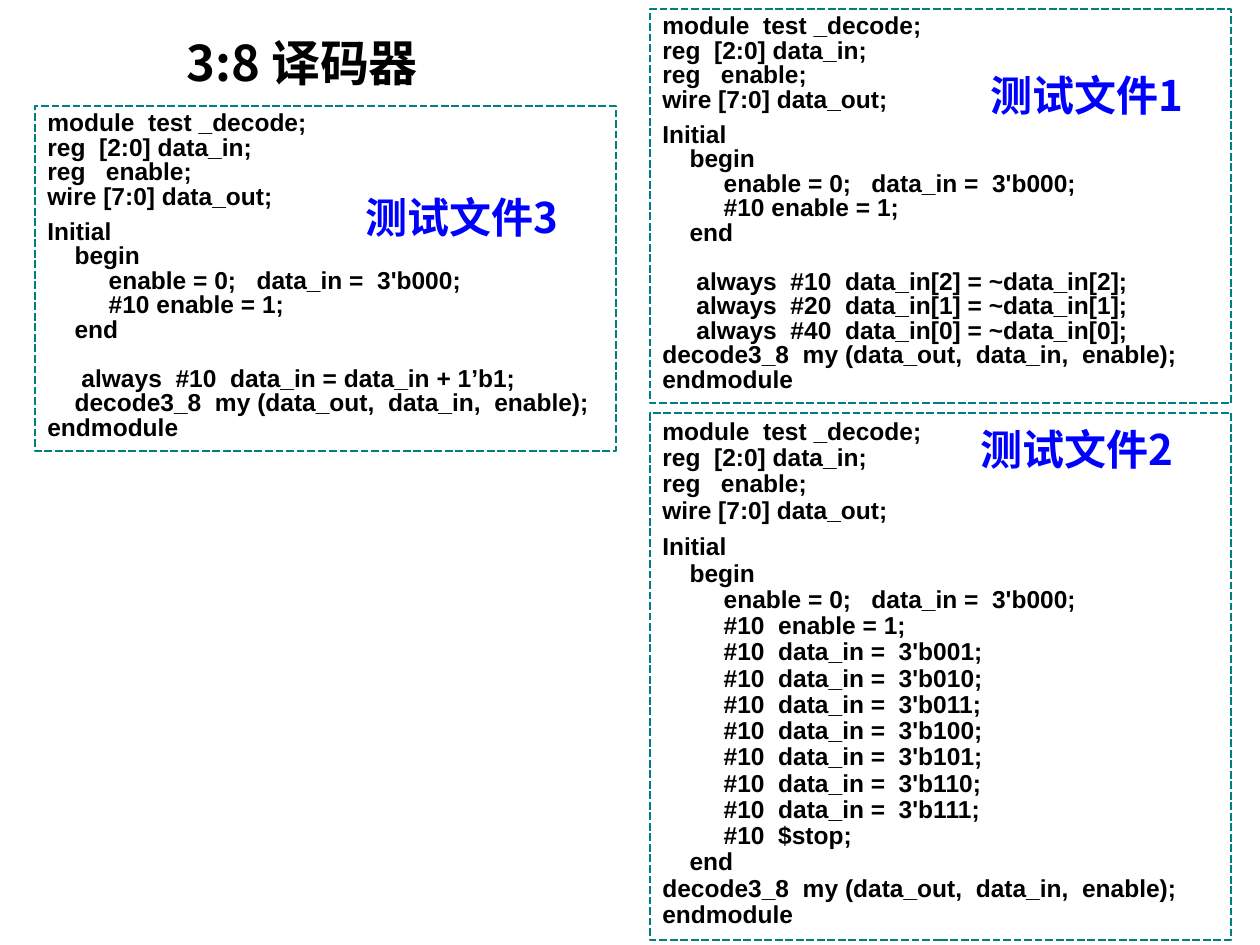
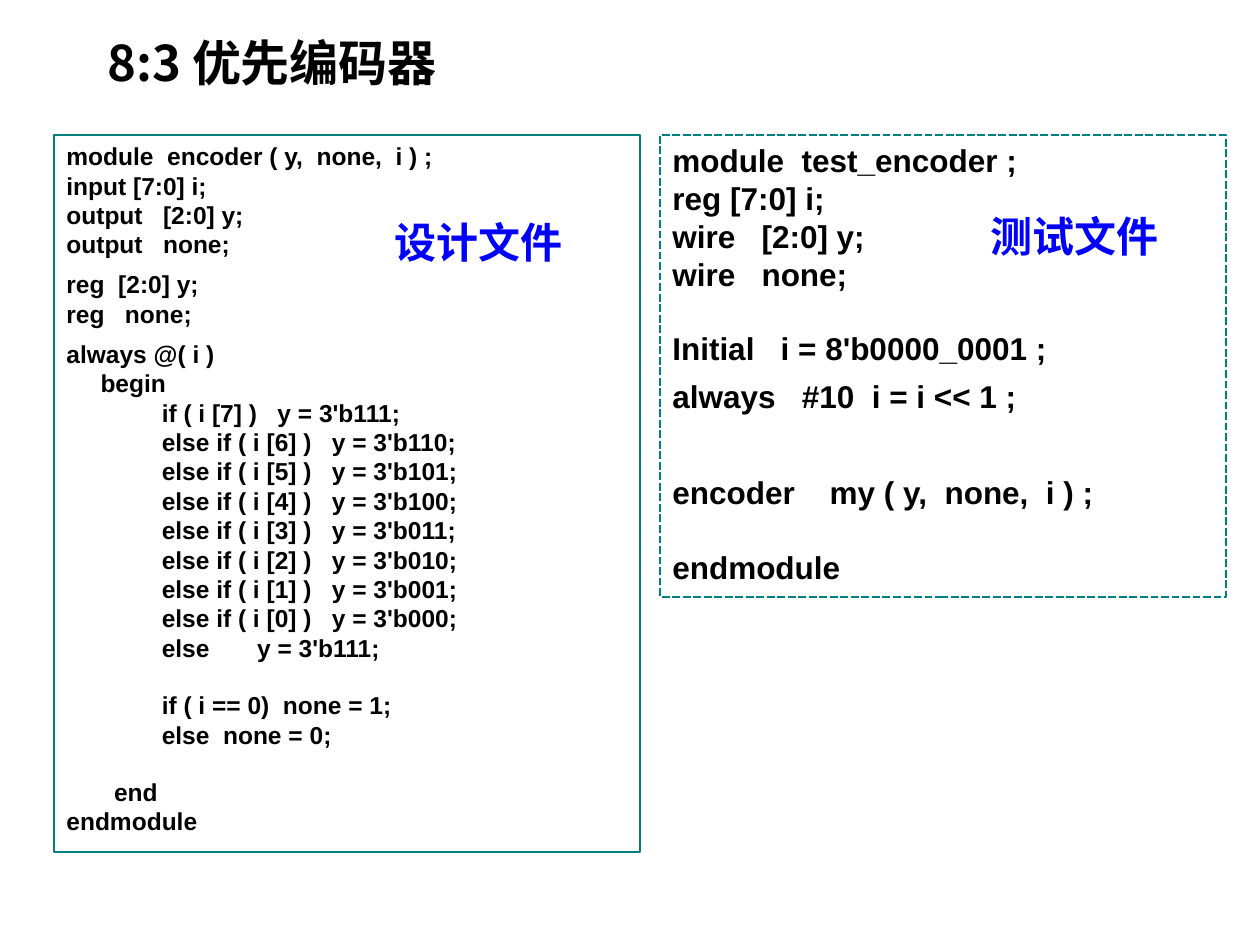
from dataclasses import dataclass

from lxml.etree import SubElement
from pptx import Presentation
from pptx.dml.color import RGBColor as Rgb
from pptx.enum.dml import MSO_LINE as Dash
from pptx.enum.shapes import MSO_SHAPE as Shape
from pptx.enum.text import MSO_ANCHOR as Anchor, PP_ALIGN as Align
from pptx.oxml.ns import qn
from pptx.util import Emu, Pt

EMU_PER_PX = 914400 / 126


def px(length):
    return Emu(round(length * EMU_PER_PX))


@dataclass(frozen=True)
class Theme:
    black: Rgb = Rgb(0, 0, 0)
    blue: Rgb = Rgb(0, 0, 255)
    teal: Rgb = Rgb(0, 127, 128)
    code_font: str = "Arial"
    heading_font: str = "Noto Sans CJK SC"
    title_size: int = 28
    label_size: int = 24
    code_size: int = 14
    large_code_size: int = 18
    border: float = 1.5
    section_gap: int = 6
    space_width: float = 0.278
    title_top: int = 26
    title_height: int = 72
    label_width: int = 228
    label_height: int = 63


class SlideWriter:
    def __init__(self, deck, theme):
        self.deck = deck
        self.theme = theme
        self.page = None

    def new_page(self):
        self.page = self.deck.slides.add_slide(self.deck.slide_layouts[6])

    def style(self, para, font, size, color):
        para.alignment = Align.LEFT
        for span in para.runs:
            span.font.size = Pt(size)
            span.font.bold = True
            span.font.color.rgb = color
            span.font.name = font
            SubElement(span._r.get_or_add_rPr(), qn("a:ea")).set("typeface", font)

    def heading(self, text, left, top, width, height, size, color):
        box = self.page.shapes.add_textbox(px(left), px(top), px(width), px(height))
        box.text_frame.word_wrap = True
        box.text_frame.text = text
        self.style(box.text_frame.paragraphs[0], self.theme.heading_font, size, color)

    def title(self, text, left, width):
        theme = self.theme
        self.heading(text, left, theme.title_top, width, theme.title_height,
                     theme.title_size, theme.black)

    def label(self, text, left, top):
        theme = self.theme
        self.heading(text, left, top, theme.label_width, theme.label_height,
                     theme.label_size, theme.blue)

    def code_panel(self, sections, left, top, width, height,
                   size=None, leading=None, dashed=True):
        theme = self.theme
        size = size or theme.code_size
        panel = self.page.shapes.add_shape(
            Shape.RECTANGLE, px(left), px(top), px(width), px(height))
        panel.shadow.inherit = False
        panel.fill.background()
        panel.line.color.rgb = theme.teal
        panel.line.width = Pt(theme.border)
        if dashed:
            panel.line.dash_style = Dash.SQUARE_DOT
        frame = panel.text_frame
        frame.word_wrap = True
        frame.vertical_anchor = Anchor.TOP
        lines = [(line, 0 if number else gap)
                 for gap, code in sections
                 for number, line in enumerate(code)]
        frame.text = "\n".join(line.lstrip() for line, _ in lines)
        for para, (line, gap) in zip(frame.paragraphs, lines):
            self.style(para, theme.code_font, size, theme.black)
            para.space_before = Pt(gap)
            if leading:
                para.line_spacing = Pt(leading)
            spaces = len(line) - len(line.lstrip())
            indent = Pt(spaces * size * theme.space_width)
            para._p.get_or_add_pPr().set("marL", str(indent))


DECLARATIONS = [
    "module  test _decode;",
    "reg  [2:0] data_in;",
    "reg   enable;",
    "wire [7:0] data_out;",
]
START = [
    "Initial",
    "    begin",
    "         enable = 0;   data_in =  3'b000;",
]
ENABLE = ["         #10 enable = 1;", "    end"]
INSTANCE = "decode3_8  my (data_out,  data_in,  enable);"
END = "endmodule"


def decoder_page(writer):
    gap = writer.theme.section_gap
    opening = [(0, DECLARATIONS), (gap, START + ENABLE)]
    counter = ["     always  #10  data_in = data_in + 1’b1;",
               "    " + INSTANCE, END]
    toggles = [f"     always  #{delay}  data_in[{bit}] = ~data_in[{bit}];"
               for delay, bit in ((10, 2), (20, 1), (40, 0))]
    steps = [f"         #10  data_in =  3'b{value:03b};" for value in range(1, 8)]
    sequence = START + ["         #10  enable = 1;", *steps,
                        "         #10  $stop;", "    end", INSTANCE, END]

    writer.new_page()
    writer.code_panel(opening + [(14, counter)], 35, 106, 581, 345, leading=14)
    writer.label("测试文件3", 353, 185)
    writer.title("3:8 译码器", 174, 295)
    writer.code_panel(opening + [(14, toggles + [INSTANCE, END])],
                      650, 9, 581, 394, leading=14)
    writer.label("测试文件1", 978, 63)
    writer.code_panel([(0, DECLARATIONS), (gap, sequence)],
                      650, 413, 581, 527, leading=15)
    writer.label("测试文件2", 968, 417)


def encoder_page(writer):
    gap = writer.theme.section_gap
    ports = ["module  encoder ( y,  none,  i ) ;", "input [7:0] i;",
             "output   [2:0] y;", "output   none;"]
    registers = ["reg  [2:0] y;", "reg   none;"]
    indent = " " * 14
    priority = [
        "always @( i )",
        "     begin",
        f"{indent}if ( i [7] )   y = 3'b111;",
        *(f"{indent}else if ( i [{bit}] )   y = 3'b{bit:03b};"
          for bit in range(6, -1, -1)),
        f"{indent}else       y = 3'b111;",
    ]
    empty_check = [f"{indent}if ( i == 0)  none = 1;", f"{indent}else  none = 0;"]
    design = [(0, ports), (gap, registers), (gap, priority),
              (16, empty_check), (16, ["       end", END])]
    test = [
        (0, ["module  test_encoder ;", "reg [7:0] i;",
             "wire   [2:0] y;", "wire   none;"]),
        (21, ["Initial   i = 8'b0000_0001 ;"]),
        (gap, ["always   #10  i = i << 1 ;"]),
        (33, ["encoder    my ( y,  none,  i ) ;"]),
        (21, [END]),
    ]

    writer.new_page()
    writer.code_panel(design, 54, 135, 586, 717, dashed=False)
    writer.title("8:3 优先编码器", 95, 377)
    writer.label("设计文件", 382, 210)
    writer.code_panel(test, 660, 135, 566, 462, size=writer.theme.large_code_size)
    writer.label("测试文件", 978, 204)


def main():
    deck = Presentation()
    deck.slide_width = px(1260)
    deck.slide_height = px(945)
    writer = SlideWriter(deck, Theme())
    decoder_page(writer)
    encoder_page(writer)
    deck.save("out.pptx")


if __name__ == "__main__":
    main()
